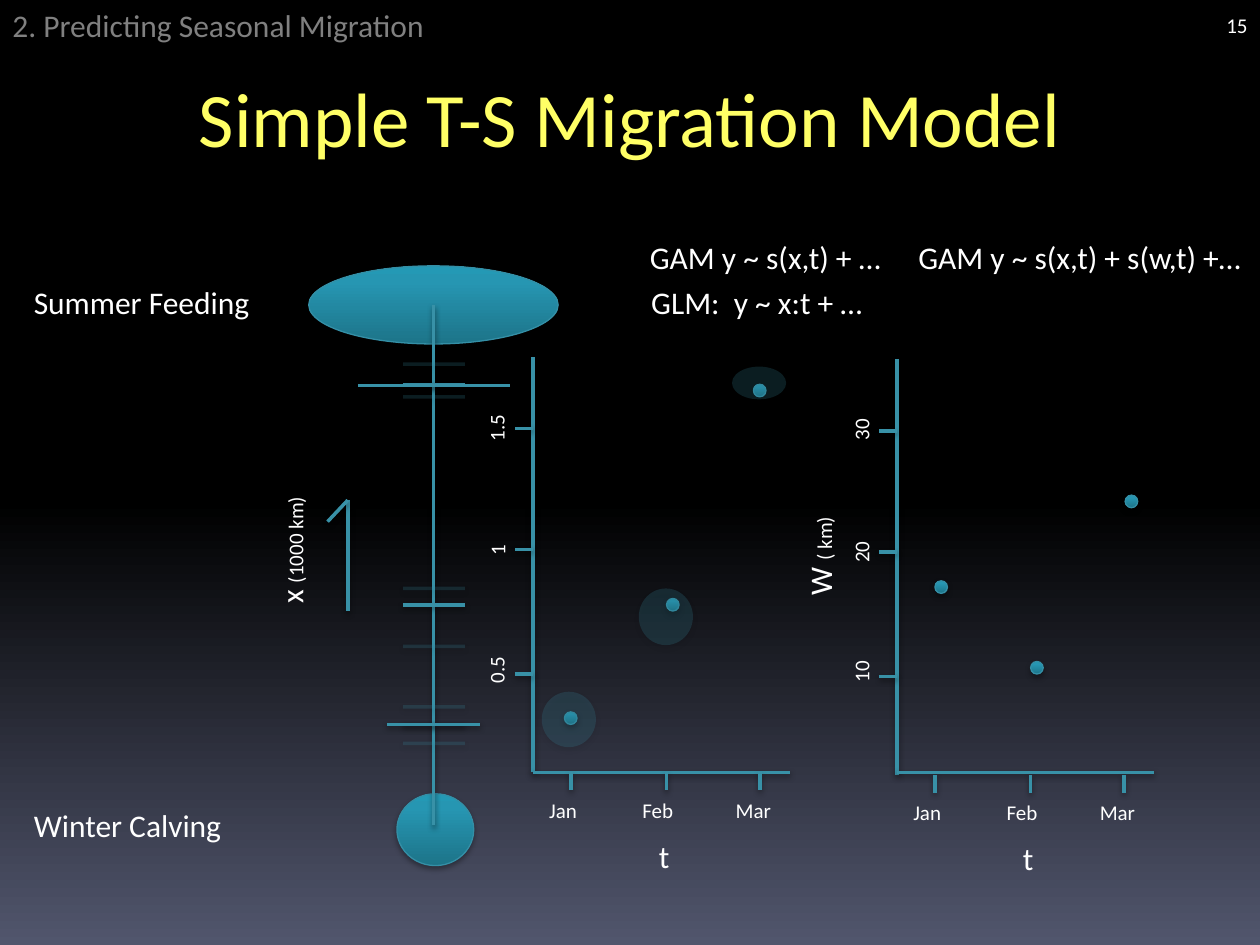
from dataclasses import dataclass

from pptx import Presentation
from pptx.dml.color import RGBColor
from pptx.enum import shapes, text
from pptx.oxml import parse_xml
from pptx.oxml.ns import nsdecls, qn
from pptx.util import Pt

PX = 9144  # EMU per px, 100 px to the inch
FONT, WHITE, YELLOW, TEAL, RIM = "Calibri", "FFFFFF", "FFFF66", "3891A7", "348FA6"
TEAL_STOPS = [(0, "1D7489"), (80, "2696B2"), (100, "2499B5")]
NIGHT_STOPS = [(53, "000000"), (100, "51566D")]
FADED = 20
ROUTE_X = 344


@dataclass
class Label:
    words: str
    left: int
    top: int
    width: int
    height: int = 40
    size: int = 18
    color: str = WHITE
    small: str = ""  # 12 pt ending
    turned: bool = False
    wrap: bool = False
    opacity: int = 100
    align: text.PP_ALIGN = text.PP_ALIGN.LEFT
    anchor: text.MSO_ANCHOR = text.MSO_ANCHOR.TOP


@dataclass
class Plot:
    left: int
    base: int
    values: tuple[str, str, str]
    value_width: int
    title: Label


@dataclass
class Season:
    """A position on the route, its spread, and the matching plot point."""
    route_y: int
    spread: tuple[int, int]
    point: tuple[int, int]
    halo: tuple[int, int, int, int]


def emu(*lengths: int) -> list[int]:
    return [length * PX for length in lengths]


def rgb(color: str) -> RGBColor:
    return RGBColor.from_string(color)


def set_opacity(element, percent: int) -> None:
    if percent < 100:
        color = element.find(".//" + qn("a:srgbClr"))
        color.append(parse_xml(f'<a:alpha {nsdecls("a")} val="{percent * 1000}"/>'))


def set_gradient(fill, element, stops: list[tuple[int, str]], angle: int) -> None:
    fill.gradient()
    fill.gradient_angle = angle
    marks = "".join(f'<a:gs pos="{place * 1000}"><a:srgbClr val="{color}"/></a:gs>'
                    for place, color in stops)
    old = element.find(".//" + qn("a:gsLst"))
    old.getparent().replace(old, parse_xml(f'<a:gsLst {nsdecls("a")}>{marks}</a:gsLst>'))


def shadow(distance: int, opacity: int):
    return parse_xml(
        f'<a:effectLst {nsdecls("a")}><a:outerShdw blurRad="40000" dist="{distance}" '
        f'dir="5400000" rotWithShape="0"><a:srgbClr val="000000">'
        f'<a:alpha val="{opacity * 1000}"/></a:srgbClr></a:outerShdw></a:effectLst>')


def draw_line(page, x1: int, y1: int, x2: int, y2: int, opacity: int = 100) -> None:
    line = page.shapes.add_connector(shapes.MSO_CONNECTOR.STRAIGHT, *emu(x1, y1, x2, y2))
    line.line.color.rgb = rgb(TEAL)
    line.line.width = Pt(2)
    properties = line._element.spPr
    set_opacity(properties, opacity)
    properties.append(shadow(20000, 38))


def draw_ellipse(page, left: int, top: int, width: int, height: int,
                 faded: bool = False) -> None:
    oval = page.shapes.add_shape(shapes.MSO_SHAPE.OVAL, *emu(left, top, width, height))
    properties = oval._element.spPr
    if faded:
        oval.fill.solid()
        oval.fill.fore_color.rgb = rgb(TEAL)
        set_opacity(properties, FADED)
        oval.line.fill.background()
    else:
        set_gradient(oval.fill, properties, TEAL_STOPS, 90)
        oval.line.color.rgb = rgb(RIM)
        oval.line.width = Pt(0.75)
    properties.append(shadow(23000, 35))


def draw_point(page, left: int, top: int) -> None:
    draw_ellipse(page, left, top, 10, 10)


def draw_label(page, label: Label) -> None:
    box = page.shapes.add_textbox(*emu(label.left, label.top, label.width, label.height))
    box.rotation = 270 if label.turned else 0
    frame = box.text_frame
    frame.word_wrap = label.wrap
    frame.vertical_anchor = label.anchor
    para = frame.paragraphs[0]
    para.alignment = label.align
    para.font.name = FONT
    para.font.color.rgb = rgb(label.color)
    set_opacity(para._p, label.opacity)
    span = para.add_run()
    span.text = label.words
    if label.small:
        ending = para.add_run()
        ending.text = label.small
        span.font.size, ending.font.size = Pt(label.size), Pt(12)
    else:
        para.font.size = Pt(label.size)


def draw_plot(page, plot: Plot) -> None:
    left, base = plot.left, plot.base
    draw_label(page, Label("t", left + 90, base + 46, 29))
    draw_label(page, plot.title)
    # Axes
    draw_line(page, left, base, left, base - 330)
    draw_line(page, left, 613, left + 204, 613)
    # Months
    for month, tick, start, width in (("Jan", 30, 3, 42), ("Feb", 106, 77, 45),
                                      ("Mar", 180, 151, 49)):
        draw_line(page, left + tick, base + 14, left + tick, base)
        draw_label(page, Label(month, left + start, base + 15, width, 30, 12))
    # Distances
    for value, tick, center in zip(plot.values, (78, 177, 273), (82, 177, 274)):
        draw_line(page, left - 14, base - tick, left, base - tick)
        width = plot.value_width if len(value) > 1 else 29
        draw_label(page, Label(value, left - 29 - width // 2, base - center - 15,
                               width, 30, 12, turned=True))


HEADINGS = [
    Label("Simple T-S Migration Model", 50, 30, 900, 125, 44, YELLOW, wrap=True,
          align=text.PP_ALIGN.CENTER, anchor=text.MSO_ANCHOR.MIDDLE),
    Label("2. Predicting Seasonal Migration", 0, 0, 351, opacity=50),
    Label("15", 767, 0, 233, size=12, wrap=True,
          align=text.PP_ALIGN.RIGHT, anchor=text.MSO_ANCHOR.MIDDLE),
    Label("Summer Feeding", 17, 220, 193),
    Label("Winter Calving", 17, 635, 171),
    Label("GLM:  y ~ x:t + …", 507, 220, 189),
    Label("GAM y ~ s(x,t) + …", 506, 184, 206, wrap=True),
    Label("GAM y ~ s(x,t) + s(w,t) +…", 719, 184, 281, wrap=True),
]
PLOTS = [
    Plot(423, 613, ("0.5", "1", "1.5"), 42,
         Label("x ", 178, 416, 106, small="(1000 km)", turned=True)),
    Plot(712, 615, ("10", "20", "30"), 37,
         Label("W ", 609, 421, 83, small="( km)", turned=True)),
]
SEASONS = [
    Season(575, (561, 590), (448, 565), (430, 549, 43, 44)),
    Season(480, (467, 513), (529, 475), (507, 467, 43, 45)),
    Season(305, (289, 315), (598, 305), (581, 291, 43, 26)),
]
WIDTH_POINTS = [(742, 461), (818, 525), (893, 393)]


def main() -> None:
    deck = Presentation()
    deck.slide_width, deck.slide_height = emu(1000, 750)
    page = deck.slides.add_slide(deck.slide_layouts[6])
    set_gradient(page.background.fill, page._element, NIGHT_STOPS, 270)

    # Migration route between the two grounds
    draw_ellipse(page, 245, 211, 198, 62)
    draw_ellipse(page, 315, 630, 61, 57)
    draw_line(page, ROUTE_X, 242, ROUTE_X, 655)

    # Half arrow for the direction of x
    draw_line(page, 276, 397, 276, 485)
    draw_line(page, 276, 397, 260, 414)

    for plot in PLOTS:
        draw_plot(page, plot)

    # Seasonal positions and their spread
    for season in SEASONS:
        draw_line(page, 320, season.route_y, 369, season.route_y)
        draw_point(page, *season.point)
        for y in season.spread:
            draw_line(page, 320, y, 369, y, FADED)
        draw_ellipse(page, *season.halo, faded=True)

    # Width of the route in winter and summer, then its plot points
    draw_line(page, 307, 575, 381, 575)
    draw_line(page, 284, 306, 405, 306)
    for point in WIDTH_POINTS:
        draw_point(page, *point)

    for heading in HEADINGS:
        draw_label(page, heading)
    deck.save("out.pptx")


if __name__ == "__main__":
    main()
